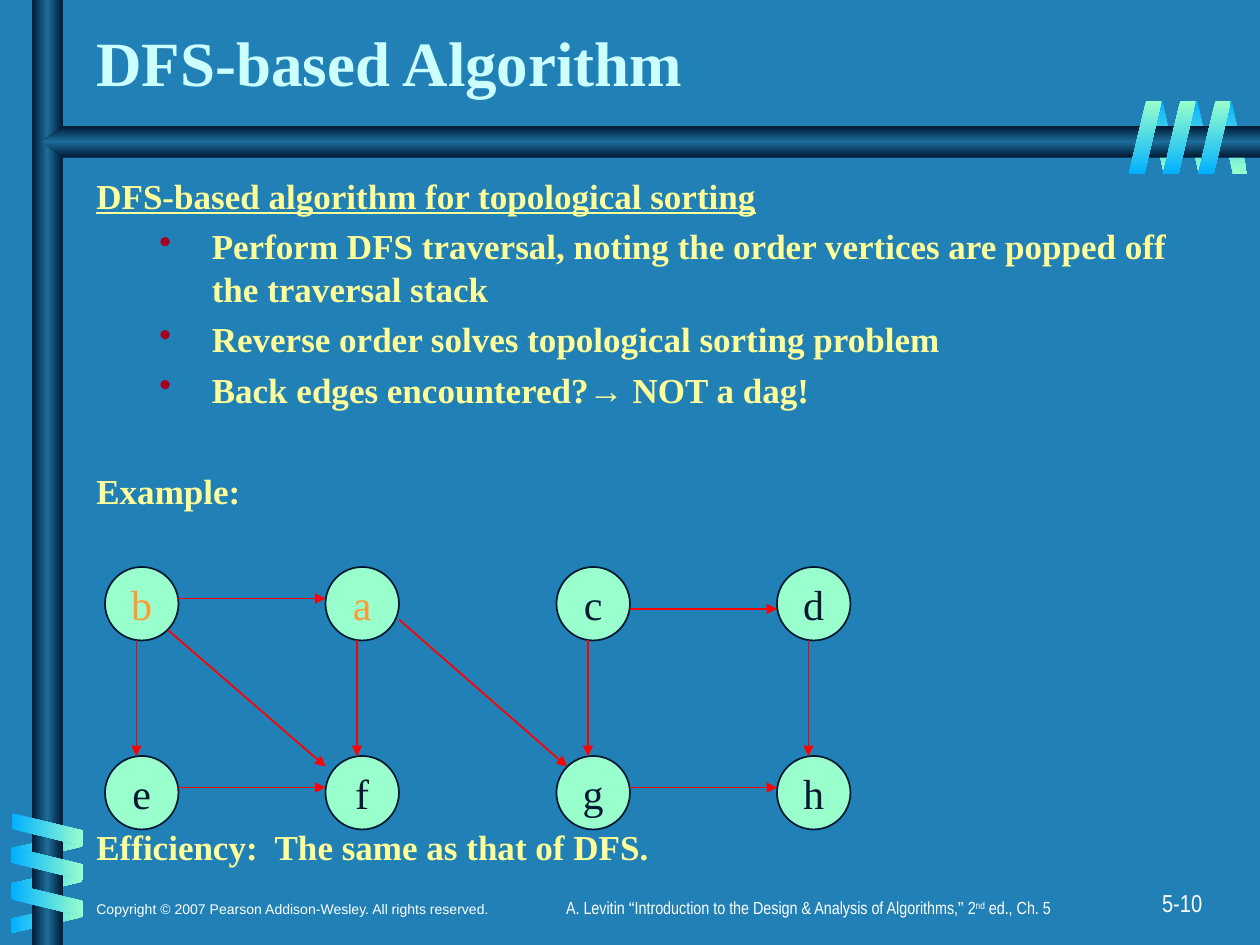
"""Build the slide on DFS-based topological sorting."""
from copy import deepcopy

from lxml import etree
from pptx import Presentation
from pptx import util as u
from pptx.dml import color as dml
from pptx.enum import shapes, text
from pptx.oxml import ns

AQUA, MINT, NAVY, STEEL = "01B0FF", "99FFCC", "001932", "1C6D9A"
SERIF, NARROW = "Times New Roman", "Arial Narrow"


def color(value):
    return dml.RGBColor.from_string(value)


def write(para, words, size=20, font=SERIF, fill="FFFFFF", bold=False, underline=False, raised=False):
    span = para.add_run()
    span.text = words
    span.font.size = u.Pt(size)
    span.font.name = font
    span.font.bold = bold
    span.font.underline = underline
    span.font.color.rgb = color(fill)
    if raised:
        span.font._element.set("baseline", "30000")


deck = Presentation()
deck.slide_width, deck.slide_height = u.Pt(720), u.Pt(540)
page = deck.slides.add_slide(deck.slide_layouts[6])
page.background.fill.solid()
page.background.fill.fore_color.rgb = color("2181B7")

top_back = [(x, 57.6, 17.3, 41.8) for x in (695.5, 676, 656)]
side_back = [(18.2, y, 17.3, 41) for y in (463.7, 483.8, 504)]
side_front = [(17.8, y, 18.7, 41) for y in (453.6, 473, 493.9)]
top_front = [(x, 57.6, 18.7, 41.8) for x in (684.7, 664.6, 645.1)]
ribbons = [
    (top_back, 180, True, (AQUA, MINT), 270),
    (side_back, 90, True, (MINT, AQUA), 0),
    (side_front, 270, False, (AQUA, MINT), 0),
    (top_front, 0, False, (MINT, AQUA), 270),
]
decor = []
for places, rotation, flipped, stops, angle in ribbons:
    if places is side_front:
        column = page.shapes.add_shape(shapes.MSO_SHAPE.RECTANGLE, u.Pt(18), 0, u.Pt(18), u.Pt(540))
        outline = page.shapes.build_freeform(720, 72, scale=u.Pt(1))
        outline.add_line_segments([(36, 72), (24, 81), (36, 90), (720, 90)])
        beam = outline.convert_to_shape()
        decor += [(column, (NAVY, STEEL, NAVY), 0), (beam, (NAVY, STEEL, NAVY), 270)]
    for place in places:
        ribbon = page.shapes.add_shape(shapes.MSO_SHAPE.PARALLELOGRAM, *map(u.Pt, place))
        ribbon.adjustments[0] = 0.53
        ribbon.rotation = rotation
        if flipped:
            ribbon._element.spPr.xfrm.set("flipH", "1")
        decor.append((ribbon, stops, angle))

for shape, stops, angle in decor:
    shape.shadow.inherit = False
    shape.line.fill.background()
    shape.fill.gradient()
    shape.fill.gradient_angle = angle
    gradient = shape._element.spPr.find(ns.qn("a:gradFill"))
    gradient.set("rotWithShape", "0")
    stop_list = gradient.find(ns.qn("a:gsLst"))
    for _ in stops[2:]:
        stop_list.append(deepcopy(stop_list[-1]))
    for index, stop in enumerate(shape.fill.gradient_stops):
        stop.position = index / (len(stops) - 1)
        stop.color.rgb = color(stops[index])

paras = {}
for name, place, anchor, align in [
    ("number", (544.3, 504, 149.8, 24), text.MSO_ANCHOR.TOP, text.PP_ALIGN.RIGHT),
    ("copyright", (48, 486, 306, 42), text.MSO_ANCHOR.BOTTOM, text.PP_ALIGN.LEFT),
    ("citation", (210, 509, 504, 24), text.MSO_ANCHOR.TOP, text.PP_ALIGN.CENTER),
    ("title", (48, 12, 642, 48), text.MSO_ANCHOR.BOTTOM, text.PP_ALIGN.LEFT),
    ("body", (48, 96, 654, 428.4), text.MSO_ANCHOR.TOP, text.PP_ALIGN.LEFT),
]:
    box = page.shapes.add_textbox(*map(u.Pt, place))
    box.text_frame.word_wrap = True
    box.text_frame.vertical_anchor = anchor
    paras[name] = box.text_frame.paragraphs[0]
    paras[name].alignment = align

write(paras["number"], "5-10", size=14, font=NARROW)
write(paras["copyright"], "Copyright © 2007 Pearson Addison-Wesley. All rights reserved.", size=8, font="Arial")
for words, font, raised in [
    ("A. Levitin ", NARROW, False),
    ("“", "Arial", False),
    ("Introduction to the Design & Analysis of Algorithms,", NARROW, False),
    ("”", "Arial", False),
    (" 2", NARROW, False),
    ("nd", NARROW, True),
    (" ed., Ch. 5", NARROW, False),
]:
    write(paras["citation"], words, size=10, font=font, raised=raised)
write(paras["title"], "DFS-based Algorithm", size=36, fill="CCFFFF", bold=True)

body = box.text_frame
for words, bulleted, space in [
    ("DFS-based algorithm for topological sorting", False, 0),
    ("Perform DFS traversal, noting the order vertices are popped off the traversal stack", True, 5),
    ("Reverse order solves topological sorting problem", True, 5),
    ("Back edges encountered?→ NOT a dag!", True, 5),
    ("Example:", False, 34),
    ("Efficiency:  The same as that of DFS.", False, 179),
]:
    para = body.add_paragraph() if space else paras["body"]
    para.space_before = u.Pt(space)
    if bulleted:
        para.level = 1
        layout = para._p.get_or_add_pPr()
        layout.set("marL", str(u.Pt(66)))
        layout.set("indent", str(u.Pt(-30)))
        tint = etree.SubElement(layout, ns.qn("a:buClr"))
        etree.SubElement(tint, ns.qn("a:srgbClr"), val=str(color("A50021")))
        etree.SubElement(layout, ns.qn("a:buChar"), char="•")
    write(para, words, fill="FFFF99", bold=True, underline=not space)

columns, rows, size = (60, 186, 318, 444), (324, 432), 42
for y, names in zip(rows, ("bacd", "efgh")):
    for x, name in zip(columns, names):
        node = page.shapes.add_shape(shapes.MSO_SHAPE.OVAL, *map(u.Pt, (x, y, size, size)))
        node.shadow.inherit = False
        node.fill.solid()
        node.fill.fore_color.rgb = color(MINT)
        node.line.color.rgb = color(NAVY)
        node.line.width = u.Pt(1)
        node.text_frame.word_wrap = False
        node.text_frame.vertical_anchor = text.MSO_ANCHOR.MIDDLE
        label = node.text_frame.paragraphs[0]
        label.alignment = text.PP_ALIGN.CENTER
        write(label, name, size=24, fill="FF9933" if name in "ab" else NAVY)

down = [(x + 18, rows[0] + size, x + 18, rows[1]) for x in columns]
across = [
    (columns[start] + size, y, columns[start + 1], y)
    for start, y in [(0, 342), (2, 348), (0, 450), (2, 450)]
]
diagonal = [(96, 360, 186, 438), (228, 354, 324, 438)]
for ends in down + across + diagonal:
    edge = page.shapes.add_connector(shapes.MSO_CONNECTOR.STRAIGHT, *map(u.Pt, ends))
    edge.line.color.rgb = color("FF0000")
    edge.line.width = u.Pt(1)
    etree.SubElement(edge.line._get_or_add_ln(), ns.qn("a:tailEnd"), type="triangle")
    etree.SubElement(edge._element.spPr, ns.qn("a:effectLst"))

deck.save("out.pptx")
